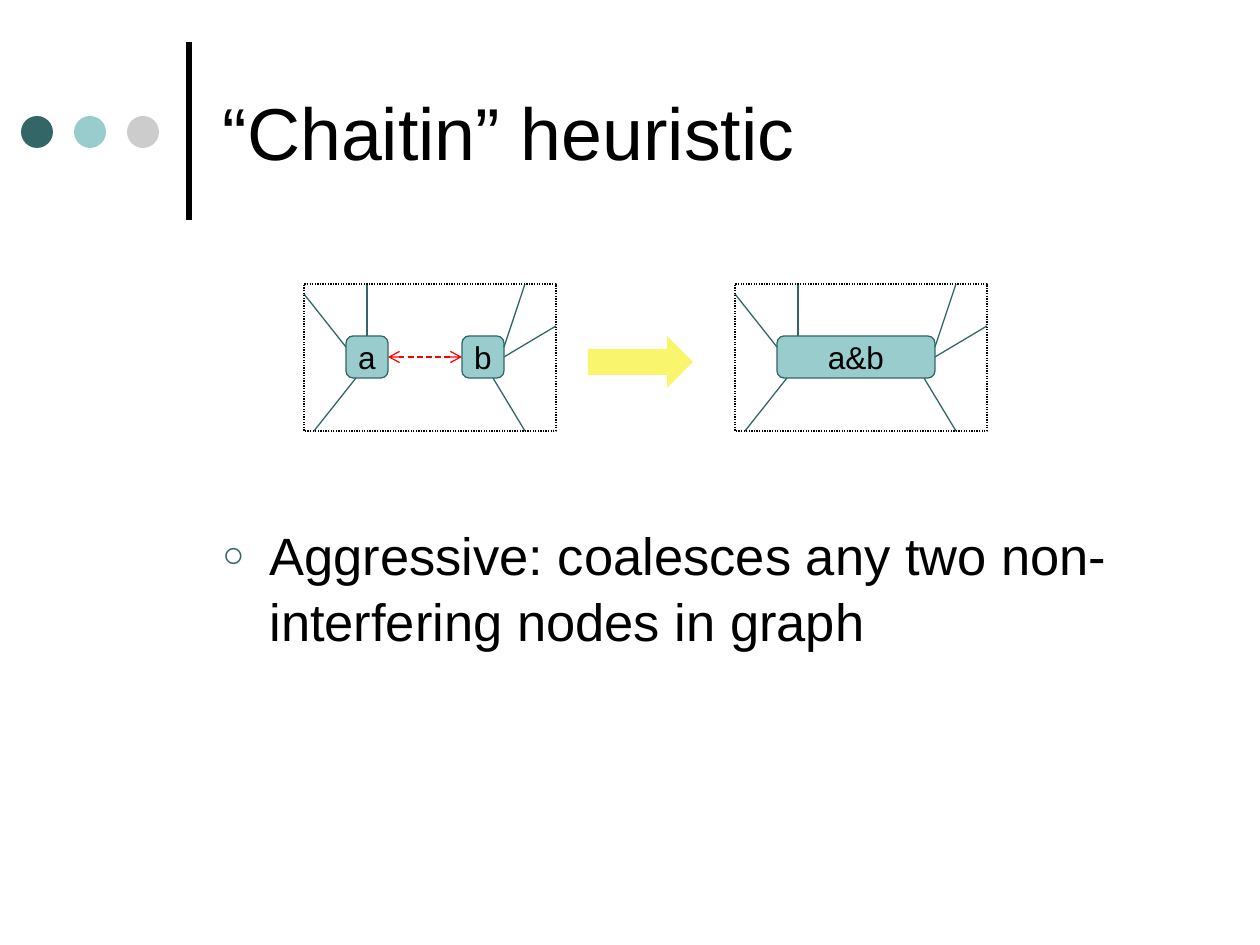
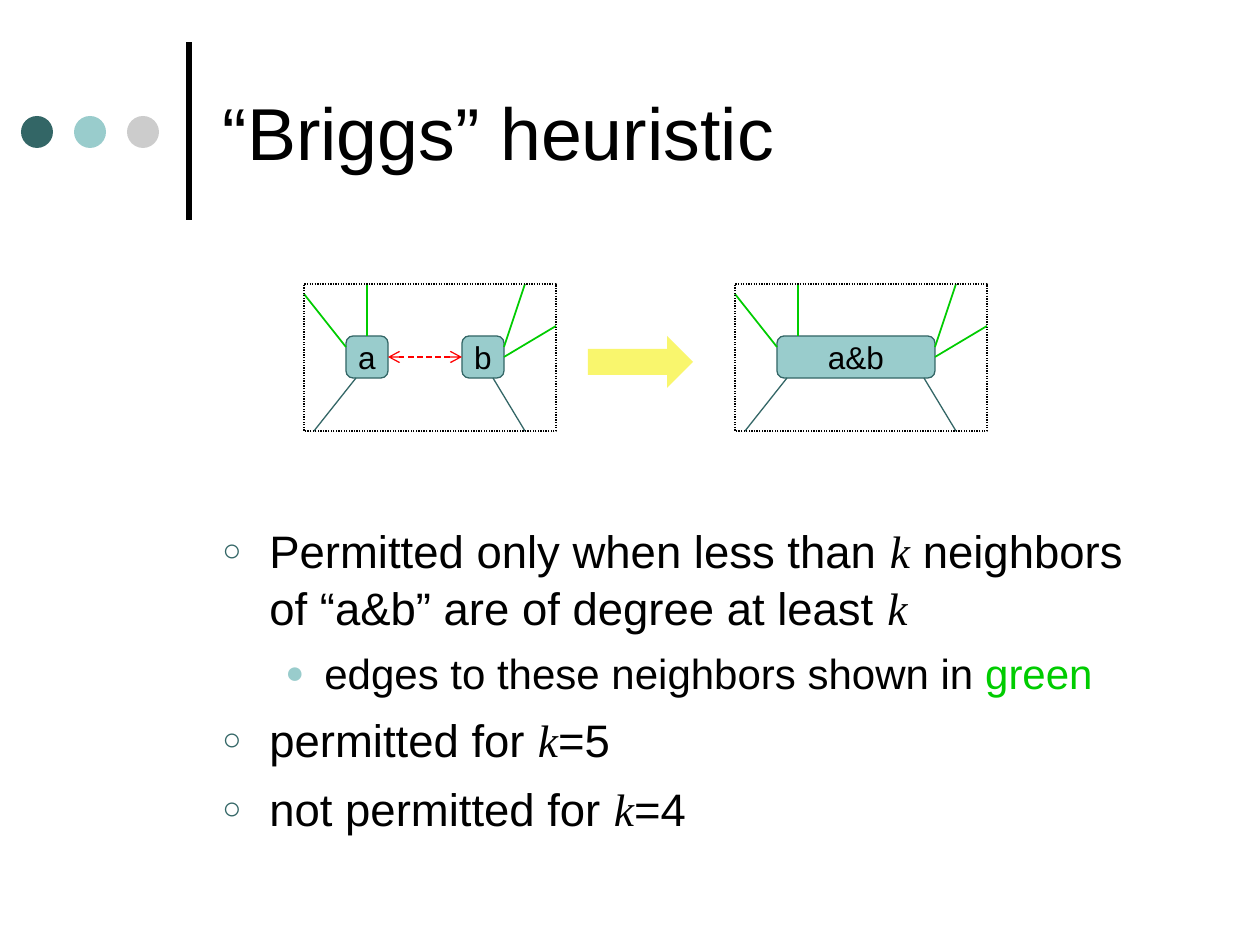
from lxml.etree import SubElement
from pptx import Presentation
from pptx.dml.color import RGBColor
from pptx.enum.dml import MSO_LINE
from pptx.enum.shapes import MSO_CONNECTOR, MSO_SHAPE
from pptx.enum.text import MSO_ANCHOR, MSO_AUTO_SIZE, PP_ALIGN
from pptx.oxml.ns import qn
from pptx.util import Emu, Pt

BLACK, DARK, TEAL, GREY = "000000", "336666", "99CCCC", "CCCCCC"
RED, GREEN, YELLOW = "FF0000", "00CC00", "F9F66D"

# Runs are (text, style); paragraphs are (level, size, space before, runs).
PLAIN = {"name": "Arial", "italic": False, "color": BLACK}
MATH = {**PLAIN, "name": "Times New Roman", "italic": True}
MARKED = {**PLAIN, "color": GREEN}
K = ("k", MATH)

SLIDES = [
    {
        "title": "“Chaitin” heuristic",
        "green_edges": False,
        "body": [
            (0, 30, 7.5, [("Aggressive: coalesces any two non-interfering nodes in graph", PLAIN)]),
        ],
    },
    {
        "title": "“Briggs” heuristic",
        "green_edges": True,
        "body": [
            (0, 26, 6.5, [("Permitted only when less than ", PLAIN), K,
                          (" neighbors of “a&b” are of degree at least ", PLAIN), K]),
            (1, 24, 6, [("edges to these neighbors shown in ", PLAIN), ("green", MARKED)]),
            (0, 26, 6.5, [("permitted for ", PLAIN), K, ("=5", PLAIN)]),
            (0, 26, 6.5, [("not permitted for ", PLAIN), K, ("=4", PLAIN)]),
        ],
    },
]

# Bullet per level: character, colour, size in %, text indent, hanging indent.
BULLETS = [("○", DARK, 70, 47, 47), ("●", TEAL, 75, 102, 39)]

TITLE_BOX = (210, 26, 966, 210)
BODY_BOX = (210, 514, 966, 315)
RULE = (189, 220, 189, 42)
DOT_COLORS = [DARK, TEAL, GREY]
DOT_LEFT, DOT_TOP, DOT_SIZE, DOT_STEP = 21, 116, 32, 53

# Both graphs have the same frame and edges; all offsets start at the frame corner.
GRAPH_TOP, FRAME_W, FRAME_H = 284, 252, 147
NODE_TOP, NODE_H = 52, 42
BEFORE_LEFT, BEFORE_NODES = 304, [("a", 42, 42), ("b", 158, 42)]
AFTER_LEFT, AFTER_NODES = 735, [("a&b", 42, 158)]
HIGH_DEGREE_EDGES = [(42, 63, 0, 10), (63, 52, 63, 0), (200, 63, 221, 0), (200, 73, 252, 42)]
LOW_DEGREE_EDGES = [(52, 94, 10, 147), (189, 94, 221, 147)]
MOVE_EDGE = (84, 73, 158, 73)
ARROW_BOX = (588, 336, 105, 52)


def px(n):
    return Emu(round(n * 914400 / 126))


def rgb(value):
    return RGBColor.from_string(value)


def set_font(font, size, style):
    font.size = Pt(size)
    for key, value in style.items():
        if key == "color":
            font.color.rgb = rgb(value)
        else:
            setattr(font, key, value)


def set_frame(tf, **formats):
    for key, value in {"auto_size": MSO_AUTO_SIZE.NONE, "word_wrap": True, **formats}.items():
        setattr(tf, key, value)


def add_box(s, kind, box, fill=None, line=None, dash=None):
    sp = s.shapes.add_shape(kind, *map(px, box))
    sp.shadow.inherit = False
    if fill:
        sp.fill.solid()
        sp.fill.fore_color.rgb = rgb(fill)
    else:
        sp.fill.background()
    if line:
        sp.line.color.rgb = rgb(line)
        sp.line.width = Pt(0.75)
        sp.line.dash_style = dash
    else:
        sp.line.fill.background()
    return sp


def add_line(s, points, color, width=0.75):
    c = s.shapes.add_connector(MSO_CONNECTOR.STRAIGHT, *map(px, points))
    c.line.color.rgb = rgb(color)
    c.line.width = Pt(width)
    SubElement(c._element.spPr, qn("a:effectLst"))
    return c


def shift(points, left):
    x1, y1, x2, y2 = points
    return x1 + left, y1 + GRAPH_TOP, x2 + left, y2 + GRAPH_TOP


def add_graph(s, left, nodes, green_edges):
    for label, x, width in nodes:
        box = (left + x, GRAPH_TOP + NODE_TOP, width, NODE_H)
        sp = add_box(s, MSO_SHAPE.ROUNDED_RECTANGLE, box, TEAL, DARK)
        sp.adjustments[0] = 0.17
        set_frame(sp.text_frame, word_wrap=False, vertical_anchor=MSO_ANCHOR.MIDDLE)
        p = sp.text_frame.paragraphs[0]
        p.alignment = PP_ALIGN.CENTER
        r = p.add_run()
        r.text = label
        set_font(r.font, 18, PLAIN)
    high_degree = (GREEN, 1) if green_edges else (DARK, 0.75)
    for edge in HIGH_DEGREE_EDGES:
        add_line(s, shift(edge, left), *high_degree)
    for edge in LOW_DEGREE_EDGES:
        add_line(s, shift(edge, left), DARK)
    add_box(s, MSO_SHAPE.RECTANGLE, (left, GRAPH_TOP, FRAME_W, FRAME_H),
            line=BLACK, dash=MSO_LINE.ROUND_DOT)


def add_move_edge(s):
    c = add_line(s, shift(MOVE_EDGE, BEFORE_LEFT), RED)
    c.line.dash_style = MSO_LINE.DASH
    for end in ("a:headEnd", "a:tailEnd"):
        SubElement(c.line._get_or_add_ln(), qn(end), type="arrow")


def add_bullet(p, level):
    char, color, size, indent, hanging = BULLETS[level]
    p.level = level
    pPr = p._p.get_or_add_pPr()
    pPr.set("marL", str(px(indent)))
    pPr.set("indent", str(-px(hanging)))
    SubElement(SubElement(pPr, qn("a:buClr")), qn("a:srgbClr"), val=color)
    SubElement(pPr, qn("a:buSzPct"), val=str(size * 1000))
    SubElement(pPr, qn("a:buFont"), typeface="Arial")
    SubElement(pPr, qn("a:buChar"), char=char)


def add_body(s, paragraphs):
    tf = s.shapes.add_textbox(*map(px, BODY_BOX)).text_frame
    set_frame(tf)
    for i, (level, size, before, runs) in enumerate(paragraphs):
        p = tf.add_paragraph() if i else tf.paragraphs[0]
        add_bullet(p, level)
        p.line_spacing = 1.05
        if i:
            p.space_before = Pt(before)
        for text, style in runs:
            r = p.add_run()
            r.text = text
            set_font(r.font, size, style)


def add_title(s, text):
    title = s.shapes.title
    title.left, title.top, title.width, title.height = map(px, TITLE_BOX)
    set_frame(title.text_frame, vertical_anchor=MSO_ANCHOR.MIDDLE)
    p = title.text_frame.paragraphs[0]
    p.alignment = PP_ALIGN.LEFT
    r = p.add_run()
    r.text = text
    set_font(r.font, 42, PLAIN)


def add_decoration(s):
    add_line(s, RULE, BLACK, 3)
    for i, color in enumerate(DOT_COLORS):
        box = (DOT_LEFT + i * DOT_STEP, DOT_TOP, DOT_SIZE, DOT_SIZE)
        add_box(s, MSO_SHAPE.OVAL, box, color)


def main():
    prs = Presentation()
    prs.slide_width, prs.slide_height = px(1260), px(945)
    for content in SLIDES:
        s = prs.slides.add_slide(prs.slide_layouts[5])
        add_decoration(s)
        add_title(s, content["title"])
        add_body(s, content["body"])
        add_graph(s, BEFORE_LEFT, BEFORE_NODES, content["green_edges"])
        add_move_edge(s)
        add_graph(s, AFTER_LEFT, AFTER_NODES, content["green_edges"])
        add_box(s, MSO_SHAPE.RIGHT_ARROW, ARROW_BOX, YELLOW)
    prs.save("out.pptx")


if __name__ == "__main__":
    main()
